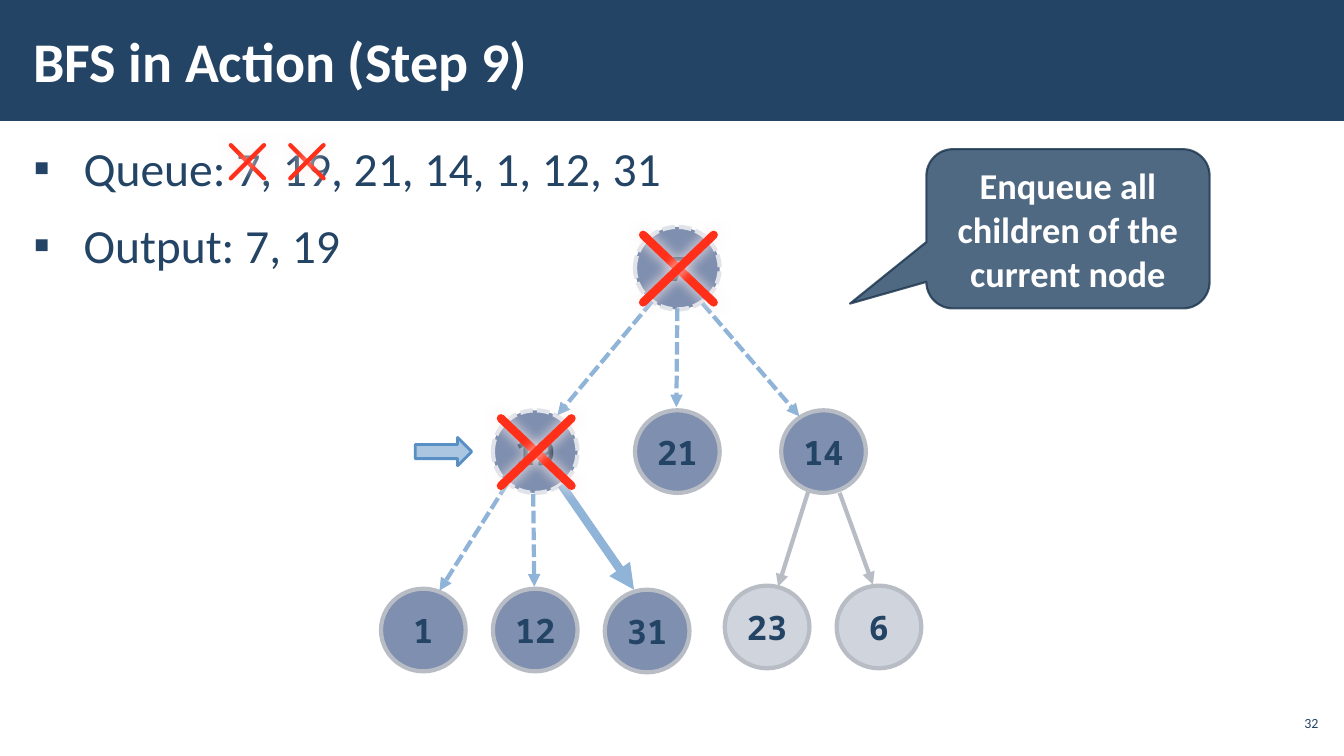
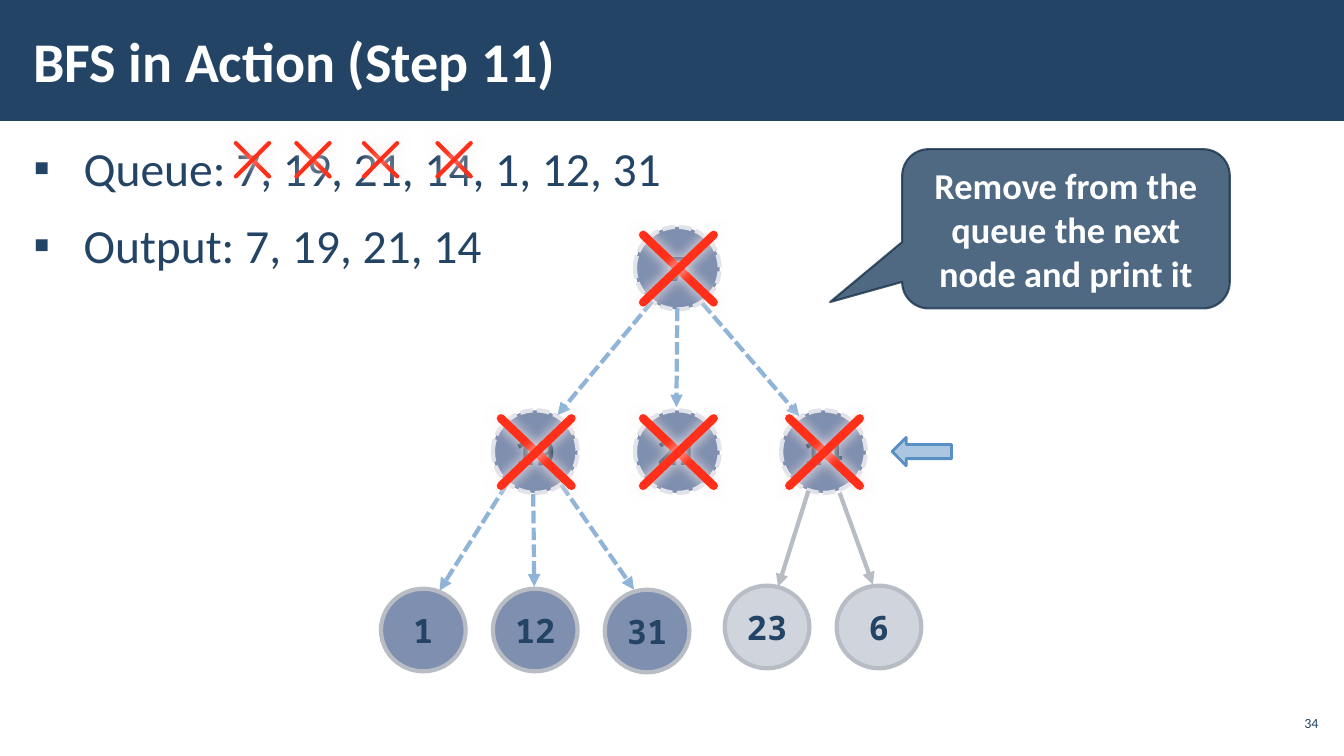
from lxml import etree
from pptx import Presentation
from pptx.dml.color import RGBColor
from pptx.enum.dml import MSO_LINE
from pptx.enum.shapes import MSO_CONNECTOR, MSO_SHAPE
from pptx.enum.text import MSO_ANCHOR, MSO_AUTO_SIZE, PP_ALIGN
from pptx.oxml.ns import qn
from pptx.util import Inches, Pt

STRAIGHT = MSO_CONNECTOR.STRAIGHT
SHORT_DASH = MSO_LINE.SQUARE_DOT
RECTANGLE, OVAL = MSO_SHAPE.RECTANGLE, MSO_SHAPE.OVAL
RIGHT_ARROW, LEFT_ARROW = MSO_SHAPE.RIGHT_ARROW, MSO_SHAPE.LEFT_ARROW
CALLOUT = MSO_SHAPE.ROUNDED_RECTANGULAR_CALLOUT
MIDDLE, TOP = MSO_ANCHOR.MIDDLE, MSO_ANCHOR.TOP
LEFT, CENTER, RIGHT = PP_ALIGN.LEFT, PP_ALIGN.CENTER, PP_ALIGN.RIGHT
FIXED, GROW = MSO_AUTO_SIZE.NONE, MSO_AUTO_SIZE.SHAPE_TO_FIT_TEXT

CELL = Inches(0.1)
COLUMNS, ROWS = 133.33, 75
TEXT_FONT, NODE_FONT = "Calibri", "Noto Sans Mono"
COLORS = {
    "navy": "234465", "dark": "1A334C", "white": "FFFFFF",
    "done": "7F8FAF", "done_line": "E0E3E9", "queued": "002060",
    "unseen": "A3ABBC", "gray": "B8BCC4", "edge": "90B4D8",
    "arrow": "588FC5", "red": "FF2F19", "glow": "FFEDEB",
}
NODE_SIZE = (8.4, 8.2)
NODES = {
    7: (63, 22.5), 19: (48.9, 40.7), 21: (63, 40.7), 14: (77.5, 40.7),
    1: (37.8, 58.4), 12: (48.9, 58.4), 31: (60, 58.5),
    23: (71.9, 58.1), 6: (83, 58.1),
}
EDGES = {
    (7, 19): (64.7, 29.9, 55.3, 41.2),
    (7, 21): (67.2, 30.6, 67.1, 40.4),
    (7, 14): (69.7, 30.1, 79.3, 41.3),
    (19, 1): (50.3, 48, 43.6, 58.6),
    (19, 12): (52.9, 49, 53, 58.2),
    (19, 31): (55.7, 48.1, 62.9, 58.5),
    (14, 23): (80.2, 48.7, 77.2, 58.2),
    (14, 6): (83.3, 48.9, 86.6, 58),
}
QUEUE = [7, 19, 21, 14, 1, 12, 31]
STEPS = [
    {"title": "BFS in Action (Step 9)", "number": 32, "visited": 2,
     "current_edge": (19, 31), "strikes": [22.9, 28.8], "strike_top": 14.4,
     "arrow": (RIGHT_ARROW, (41.2, 43.4, 5.6, 2.8)),
     "callout": ("Enqueue all children of the current node",
                 (91.9, 14.8, 28.1, 15.8), (-0.77, 0.47))},
    {"title": "BFS in Action (Step 11)", "number": 34, "visited": 4,
     "current_edge": None, "strikes": [23.4, 29.4, 36.1, 43.4], "strike_top": 14.2,
     "arrow": (LEFT_ARROW, (88.5, 43.4, 5.9, 2.8)),
     "callout": ("Remove from the queue the next node and print it",
                 (89.5, 14.8, 32.5, 15.8), (-0.72, 0.46))},
]


def cells(*counts):
    """Turn counts of grid cells into lengths."""
    return [round(count * CELL) for count in counts]


def add_alpha(element, percent):
    """Make the colours inside an element partly transparent."""
    for color in element.iter(qn("a:srgbClr")):
        etree.SubElement(color, qn("a:alpha"), val=str(percent * 1000))


class Deck:
    """Hold the style and the current slide."""

    def __init__(self):
        """Start the presentation and set up its shared layout."""
        self.presentation = Presentation()
        self.presentation.slide_width, self.presentation.slide_height = cells(COLUMNS, ROWS)
        self.layout = self.presentation.slide_layouts[1]
        self.slide = None
        boxes = [(2.1, 1.1, 104, 9.7), (2.1, 13.1, 129.2, 56.9)]
        for placeholder, box in zip(self.layout.placeholders, boxes):
            (placeholder.left, placeholder.top,
             placeholder.width, placeholder.height) = cells(*box)

    def color(self, name):
        """Look up a named colour."""
        return RGBColor.from_string(COLORS[name])

    def frame(self, text_frame, margins, anchor):
        """Set margins, anchor and wrapping of a text frame."""
        text_frame.margin_left = text_frame.margin_right = Inches(margins[0])
        text_frame.margin_top = text_frame.margin_bottom = Inches(margins[1])
        text_frame.vertical_anchor = anchor
        text_frame.word_wrap = True
        text_frame.auto_size = FIXED

    def format_text(self, text_frame, size, color, align, bold=False, font=TEXT_FONT):
        """Format every paragraph and run of a text frame."""
        for paragraph in text_frame.paragraphs:
            paragraph.alignment = align
            for run in paragraph.runs:
                run.font.name, run.font.size, run.font.bold = font, Pt(size), bold
                run.font.color.rgb = self.color(color)

    def add_slide(self, title, number):
        """Add a slide with its title and page number."""
        self.slide = self.presentation.slides.add_slide(self.layout)
        text_frame = self.slide.shapes.title.text_frame
        text_frame.text = title
        self.frame(text_frame, (0.12, 0.04), MIDDLE)
        self.format_text(text_frame, 40, "white", LEFT, bold=True)
        text_frame = self.slide.shapes.add_textbox(*cells(126.5, 70, 4.7, 3.4)).text_frame
        text_frame.text = str(number)
        self.frame(text_frame, (0.04, 0.04), MIDDLE)
        self.format_text(text_frame, 10, "navy", RIGHT)

    def add_band(self):
        """Draw the title band and hand it to the layout."""
        band = self.add_shape(self.slide.shapes, RECTANGLE, (0, 0, COLUMNS, 12), "navy")
        self.layout.element.cSld.spTree.insert(2, band.element)

    def add_list(self, lines):
        """Fill the body placeholder with bulleted lines."""
        text_frame = self.slide.placeholders[1].text_frame
        text_frame.text = "\n".join(lines)
        self.frame(text_frame, (0.12, 0.04), TOP)
        self.format_text(text_frame, 34, "navy", LEFT)
        for paragraph in text_frame.paragraphs:
            paragraph.line_spacing = 1.05
            paragraph.space_before = paragraph.space_after = Pt(6)
            properties = paragraph._p.get_or_add_pPr()
            properties.set("marL", str(Inches(0.5)))
            properties.set("indent", str(Inches(-0.5)))
            etree.SubElement(properties, qn("a:buChar"), char="▪")

    def add_shape(self, shapes, kind, box, fill, line=None, width=0, alpha=100):
        """Add a filled preset shape."""
        shape = shapes.add_shape(kind, *cells(*box))
        shape.shadow.inherit = False
        shape.fill.solid()
        shape.fill.fore_color.rgb = self.color(fill)
        if alpha < 100:
            add_alpha(shape.element.spPr, alpha)
        if line:
            shape.line.color.rgb = self.color(line)
            shape.line.width = Pt(width)
        else:
            shape.line.fill.background()
        return shape

    def add_line(self, shapes, ends, color, width):
        """Add a straight line and return it with its effect list."""
        line = shapes.add_connector(STRAIGHT, *cells(*ends))
        line.line.color.rgb = self.color(color)
        line.line.width = Pt(width)
        return line, etree.SubElement(line.element.spPr, qn("a:effectLst"))

    def add_node(self, shapes, value, state):
        """Add a tree node drawn by its state."""
        fill, line, text, alpha = {
            "done": ("done", "done_line", "dark", 100),
            "queued": ("queued", "gray", "navy", 50),
            "unseen": ("unseen", "gray", "navy", 50),
        }[state]
        node = self.add_shape(shapes, OVAL, (*NODES[value], *NODE_SIZE), fill, line, 3, alpha)
        if state == "done":
            node.line.dash_style = SHORT_DASH
        node.text_frame.text = str(value)
        node.text_frame.word_wrap = False
        node.text_frame.vertical_anchor = MIDDLE
        self.format_text(node.text_frame, 24, text, CENTER, True, NODE_FONT)

    def add_edge(self, shapes, ends, color, width, dashed):
        """Add an arrow between two nodes."""
        edge, _ = self.add_line(shapes, ends, color, width)
        if dashed:
            edge.line.dash_style = SHORT_DASH
        etree.SubElement(edge.element.spPr.find(qn("a:ln")), qn("a:tailEnd"), type="triangle")

    def add_tree(self, done, queued, current_edge):
        """Add the whole tree as one group."""
        shapes = self.slide.shapes.add_group_shape().shapes
        for value in NODES:
            state = "done" if value in done else "queued" if value in queued else "unseen"
            self.add_node(shapes, value, state)
        for edge, ends in EDGES.items():
            reached = edge[1] in QUEUE
            current = edge == current_edge
            self.add_edge(shapes, ends, "edge" if reached else "gray",
                          6 if current else 3, reached and not current)

    def add_cross(self, left, top, width, height, weight):
        """Add a glowing red cross."""
        shapes = self.slide.shapes.add_group_shape().shapes
        right, bottom = left + width, top + height
        for ends in ((left, top, right, bottom), (right, top, left, bottom)):
            line, effects = self.add_line(shapes, ends, "red", weight)
            line.element.spPr.find(qn("a:ln")).set("cap", "rnd")
            shadow = etree.SubElement(effects, qn("a:outerShdw"), blurRad=str(Pt(10)),
                                      dist="0", dir="5400000", rotWithShape="0")
            etree.SubElement(shadow, qn("a:srgbClr"), val=COLORS["glow"])

    def add_pointer(self, kind, box):
        """Add the block arrow at the current node."""
        self.add_shape(self.slide.shapes, kind, box, "arrow", "arrow", 2, 50)

    def add_callout(self, text, box, tip):
        """Add the speech bubble with its tip."""
        callout = self.add_shape(self.slide.shapes, CALLOUT, box, "navy", "dark", 1.5, 80)
        add_alpha(callout.element.spPr.find(qn("a:ln")), 80)
        callout.adjustments[0], callout.adjustments[1] = tip
        callout.text_frame.text = text
        self.frame(callout.text_frame, (0.1, 0.05), MIDDLE)
        callout.text_frame.auto_size = GROW
        self.format_text(callout.text_frame, 26, "white", CENTER, bold=True)


def main():
    """Build and save the slides."""
    deck = Deck()
    for index, step in enumerate(STEPS):
        done, queued = QUEUE[:step["visited"]], QUEUE[step["visited"]:]
        deck.add_slide(step["title"], step["number"])
        if index == 0:
            deck.add_band()
        deck.add_list(["Queue: " + ", ".join(map(str, QUEUE)),
                       "Output: " + ", ".join(map(str, done))])
        deck.add_tree(done, queued, step["current_edge"])
        for value, strike_left in zip(done, step["strikes"]):
            deck.add_cross(strike_left, step["strike_top"], 3.3, 3.3, 3)
            left, top = NODES[value]
            deck.add_cross(left + 0.8, top + 0.8, 7, 6.7, 6)
        deck.add_pointer(*step["arrow"])
        deck.add_callout(*step["callout"])
    deck.presentation.save("out.pptx")


if __name__ == "__main__":
    main()
